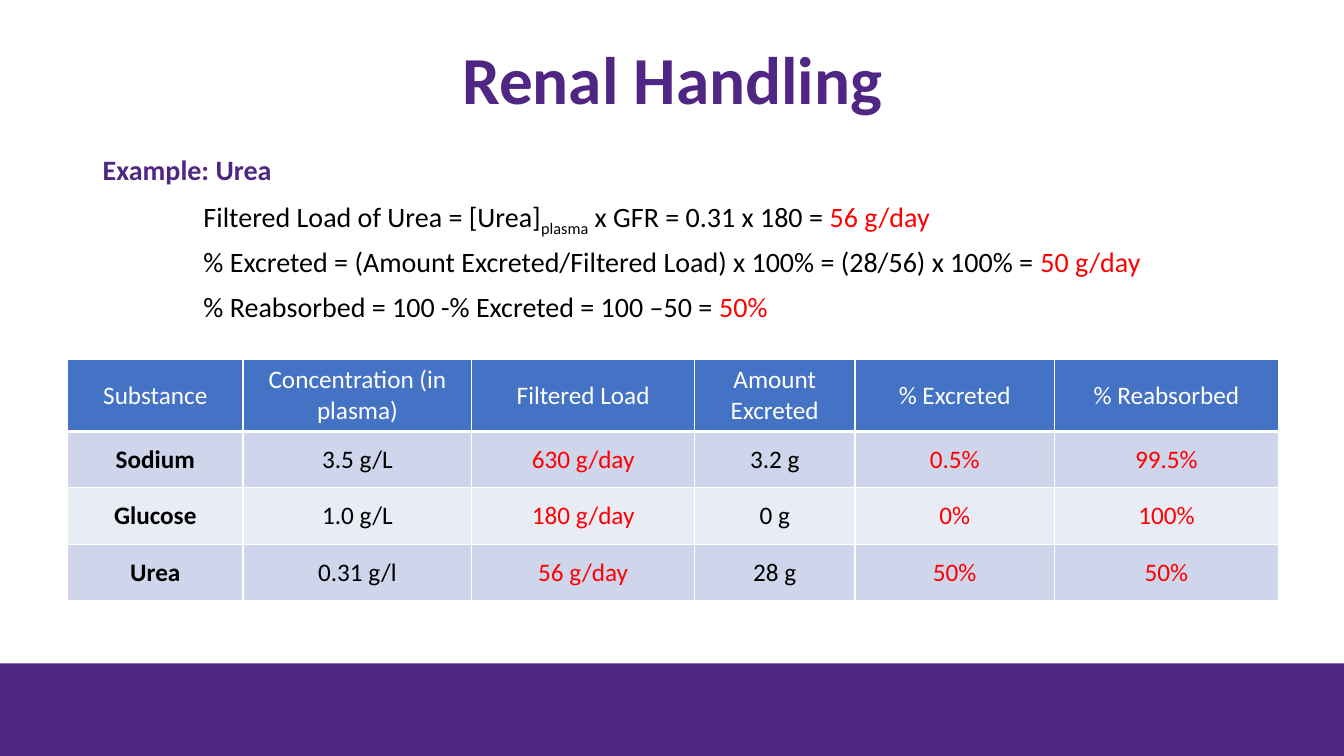
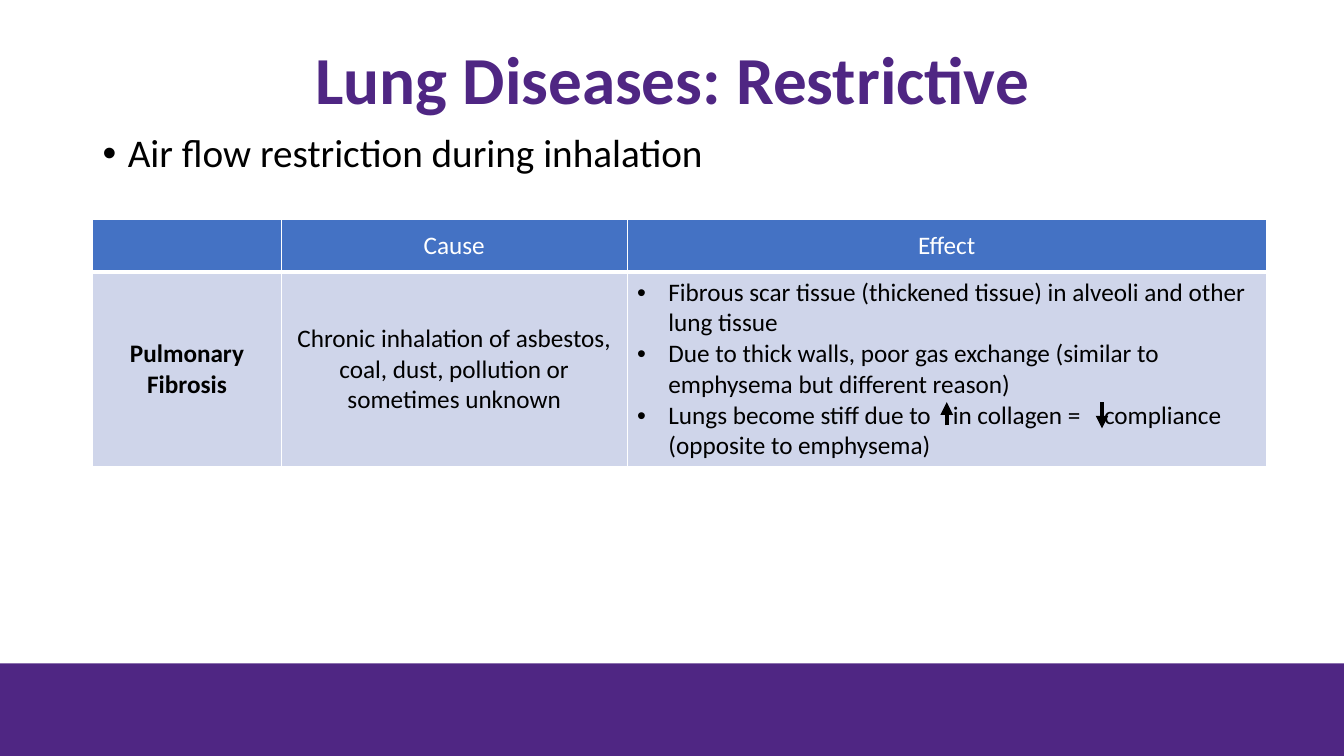
from dataclasses import dataclass
from typing import Optional, Sequence

from lxml.etree import SubElement
from pptx import Presentation
from pptx.dml.color import RGBColor as RGB
from pptx.enum.shapes import MSO_CONNECTOR as Link, MSO_SHAPE as Shape
from pptx.enum.text import MSO_ANCHOR as Anchor, MSO_AUTO_SIZE as Fit, PP_ALIGN as Align
from pptx.oxml.ns import qn
from pptx.slide import Slide
from pptx.util import Emu, Pt

SCALE = 9144  # EMU in one px, 100 px to the inch
WIDE, HIGH = 1333, 750


@dataclass(frozen=True)
class Theme:
    font: str = "Calibri"
    purple: str = "4F2683"
    black: str = "000000"
    white: str = "FFFFFF"
    red: str = "FF0000"
    head: str = "4472C4"
    bands: tuple[str, str] = ("CFD5EA", "E9EBF5")
    title: int = 48
    lead: int = 28
    body: int = 20
    cell: int = 18


T = Theme()


@dataclass(frozen=True)
class Box:
    left: int
    top: int
    width: int
    height: int

    def emu(self) -> tuple[Emu, ...]:
        return tuple(px(n) for n in (self.left, self.top, self.width, self.height))


@dataclass(frozen=True)
class Bit:
    text: str
    color: Optional[str] = None
    sub: bool = False


@dataclass(frozen=True)
class Para:
    bits: tuple[Bit, ...]
    size: int = T.cell
    color: str = T.black
    bold: bool = False
    align: Align = Align.LEFT
    indent: int = 0
    bullet: bool = False
    tabs: tuple[int, ...] = ()
    line: Optional[float] = None
    before: int = 0


@dataclass(frozen=True)
class Arrow:
    x: int
    start: int
    end: int


def px(count: int) -> Emu:
    return Emu(count * SCALE)


def tint(code: str) -> RGB:
    return RGB.from_string(code)


def write(frame, paras: Sequence[Para]) -> None:
    for i, para in enumerate(paras):
        p = frame.add_paragraph() if i else frame.paragraphs[0]
        p.alignment = para.align
        if para.line:
            p.line_spacing = para.line
        if i and para.before:
            p.space_before = Pt(para.before)
        props = p._p.get_or_add_pPr()
        props.set("marL", str(px(para.indent)))
        props.set("indent", str(px(-para.indent if para.bullet else 0)))
        if para.bullet:
            SubElement(props, qn("a:buFont"), typeface="Arial")
            SubElement(props, qn("a:buChar"), char="•")
        if para.tabs:
            stops = SubElement(props, qn("a:tabLst"))
            for stop in para.tabs:
                SubElement(stops, qn("a:tab"), pos=str(px(stop)), algn="l")
        font = p.font
        font.name, font.size, font.bold = T.font, Pt(para.size), para.bold
        font.color.rgb = tint(para.color)
        for bit in para.bits:
            run = p.add_run()
            run.text = bit.text
            if bit.color:
                run.font.color.rgb = tint(bit.color)
            if bit.sub:
                run._r.get_or_add_rPr().set("baseline", "-25000")


def start(deck, title: str) -> Slide:
    """Add a slide with its title and the band at its foot."""
    slide = deck.slides.add_slide(deck.slide_layouts[5])
    head = slide.shapes.title
    head.left, head.top, head.width, head.height = Box(92, 22, 1150, 120).emu()
    frame = head.text_frame
    frame.auto_size, frame.vertical_anchor = Fit.NONE, Anchor.MIDDLE
    write(frame, [Para((Bit(title),), T.title, T.purple, True, Align.CENTER, line=0.9)])
    band = slide.shapes.add_shape(Shape.RECTANGLE, *Box(0, 658, WIDE, HIGH - 658).emu())
    band.shadow.inherit = False
    band.fill.solid()
    band.fill.fore_color.rgb = tint(T.purple)
    band.line.fill.background()
    return slide


def add_text(slide: Slide, box: Box, paras: Sequence[Para]) -> None:
    frame = slide.shapes.add_textbox(*box.emu()).text_frame
    frame.word_wrap = True
    write(frame, paras)


def edge(cell, foot: int) -> None:
    """Draw white borders, the lower one foot points wide."""
    props = cell._tc.get_or_add_tcPr()
    for side, width in (("L", 1), ("R", 1), ("T", 1), ("B", foot)):
        line = SubElement(props, qn(f"a:ln{side}"), w=str(Pt(width)))
        fill = SubElement(line, qn("a:solidFill"))
        SubElement(fill, qn("a:srgbClr"), val=T.white)


def add_grid(slide: Slide, left: int, top: int, cols: Sequence[int],
             rows: Sequence[int], cells: Sequence[Sequence[Sequence[Para]]]) -> None:
    box = Box(left, top, sum(cols), sum(rows))
    table = slide.shapes.add_table(len(rows), len(cols), *box.emu()).table
    table.first_row = table.horz_banding = False
    for col, width in zip(table.columns, cols):
        col.width = px(width)
    for r, (row, height) in enumerate(zip(table.rows, rows)):
        row.height = px(height)
        for cell, paras in zip(row.cells, cells[r]):
            edge(cell, 1 if r else 3)
            cell.fill.solid()
            cell.fill.fore_color.rgb = tint(T.bands[(r - 1) % 2] if r else T.head)
            cell.vertical_anchor = Anchor.MIDDLE
            write(cell.text_frame, paras)


def add_arrow(slide: Slide, arrow: Arrow) -> None:
    ends = [px(n) for n in (arrow.x, arrow.start, arrow.x, arrow.end)]
    line = slide.shapes.add_connector(Link.STRAIGHT, *ends)
    line.line.width = Pt(3)
    line.line.color.rgb = tint(T.black)
    SubElement(line.line._get_or_add_ln(), qn("a:tailEnd"), type="triangle")
    SubElement(line._element.spPr, qn("a:effectLst"))


def mid(text: str, color: str = T.black, bold: bool = False) -> list[Para]:
    """Make the centred text of one cell."""
    return [Para((Bit(text),), color=color, bold=bold, align=Align.CENTER)]


def renal(deck) -> None:
    slide = start(deck, "Renal Handling")
    sums = (
        (Bit("Filtered Load of Urea = [Urea]"), Bit("plasma", sub=True),
         Bit(" x GFR = 0.31 x 180 = "), Bit("56 g/day", T.red)),
        (Bit("% Excreted = (Amount Excreted/Filtered Load) x 100% = (28/56) x 100% = "),
         Bit("50 g/day", T.red)),
        (Bit("% Reabsorbed = 100 -% Excreted = 100 –50 = "), Bit("50%", T.red)),
    )
    lead = Para((Bit("Example: Urea"),), T.body, T.purple, True, line=0.9)
    add_text(slide, Box(92, 150, 1157, 200), [lead] + [
        Para(bits, T.body, indent=100, line=0.9, before=10) for bits in sums])
    heads = ("Substance", "Concentration (in plasma)", "Filtered Load",
             "Amount Excreted", "% Excreted", "% Reabsorbed")
    data = (
        ("Sodium", "3.5 g/L", "630 g/day", "3.2 g", "0.5%", "99.5%"),
        ("Glucose", "1.0 g/L", "180 g/day", "0 g", "0%", "100%"),
        ("Urea", "0.31 g/l", "56 g/day", "28 g", "50%", "50%"),
    )
    found = (2, 4, 5)  # worked-out columns, in red
    cells = [[mid(text, T.white) for text in heads]]
    cells += [[mid(text, T.red if c in found else T.black, c == 0)
               for c, text in enumerate(row)] for row in data]
    add_grid(slide, 67, 357, (174, 227, 221, 159, 198, 222), (71, 56, 56, 56), cells)


def lung(deck) -> None:
    slide = start(deck, "Lung Diseases: Restrictive")
    lead = Para((Bit("Air flow restriction during inhalation"),), T.lead,
                indent=25, bullet=True, line=0.9)
    add_text(slide, Box(92, 128, 1150, 60), [lead])
    effects = (
        "Fibrous scar tissue (thickened tissue) in alveoli and other lung tissue",
        "Due to thick walls, poor gas exchange (similar to emphysema but different reason)",
        "Lungs become stiff due to\tin collagen =\tcompliance (opposite to emphysema)",
    )
    cells = (
        [mid(text, T.white) for text in ("", "Cause", "Effect")],
        [mid("Pulmonary Fibrosis", bold=True),
         mid("Chronic inhalation of asbestos, coal, dust, pollution or sometimes unknown"),
         [Para((Bit(text),), indent=31, bullet=True,
               tabs=(313, 463) if "\t" in text else ()) for text in effects]],
    )
    add_grid(slide, 92, 218, (187, 343, 634), (52, 193), cells)
    for arrow in (Arrow(939, 422, 399), Arrow(1093, 399, 425)):
        add_arrow(slide, arrow)


def main() -> None:
    deck = Presentation()
    deck.slide_width, deck.slide_height = px(WIDE), px(HIGH)
    renal(deck)
    lung(deck)
    deck.save("out.pptx")


if __name__ == "__main__":
    main()
